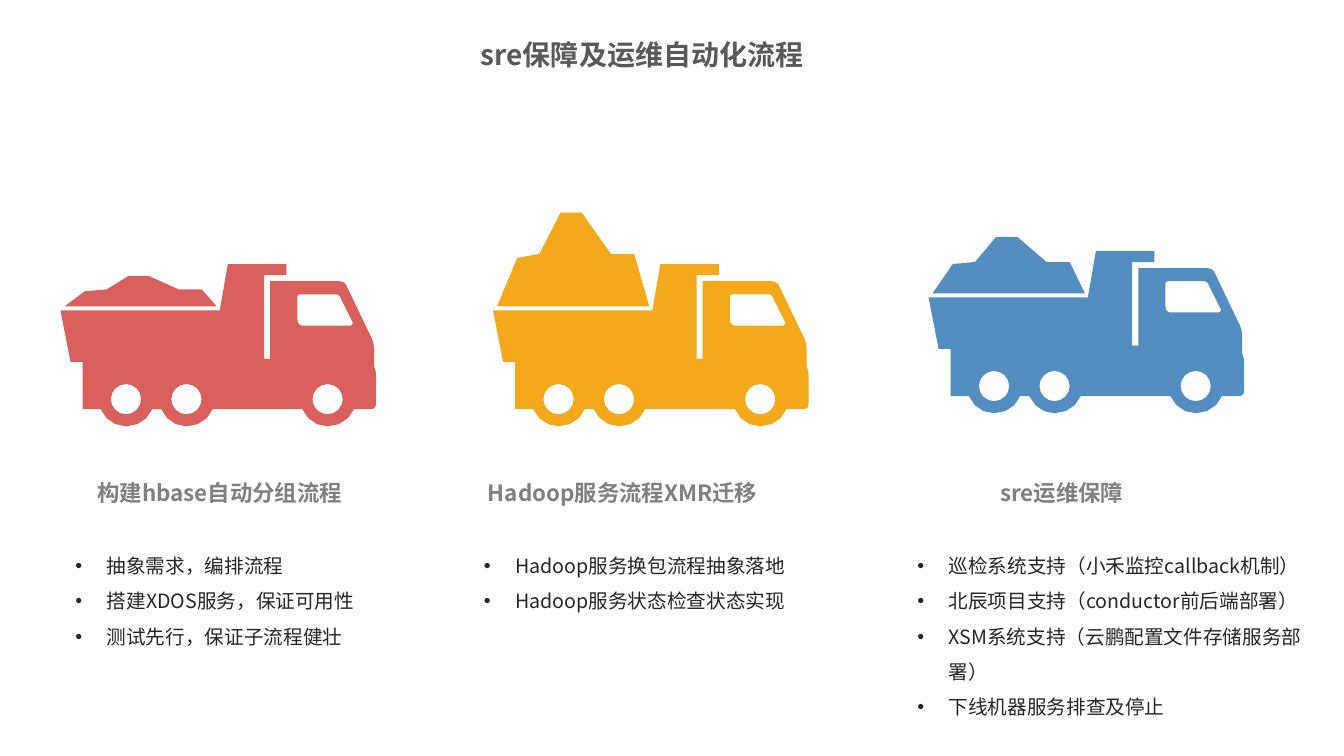
"""Build a slide of three loaded trucks, each with a heading and its tasks."""
import math
from dataclasses import dataclass

import lxml.etree
import pptx
import pptx.dml.color
import pptx.enum.text
import pptx.oxml.ns
import pptx.util

Inches = pptx.util.Inches

TITLE = "sre保障及运维自动化流程"
TITLE_BOX = (4.73, 0.37, 3.28, 0.67)

STAGES = [
    {
        "heading": "构建hbase自动分组流程",
        "heading_span": (0.85, 2.66),
        "tasks": ["抽象需求，编排流程", "搭建XDOS服务，保证可用性", "测试先行，保证子流程健壮"],
        "tasks_box": (0.65, 3.02, 1.12),
        "truck": (0.60, 2.62),
        "load": (0.15, 0.17, 0.30),
        "color": "D9605D",
    },
    {
        "heading": "Hadoop服务流程XMR迁移",
        "heading_span": (4.70, 2.95),
        "tasks": ["Hadoop服务换包流程抽象落地", "Hadoop服务状态检查状态实现"],
        "tasks_box": (4.70, 3.28, 0.77),
        "truck": (4.89, 2.62),
        "load": (0.48, 0.52, 0.93),
        "color": "F4A81C",
    },
    {
        "heading": "sre运维保障",
        "heading_span": (9.80, 1.46),
        "tasks": [
            "巡检系统支持（小禾监控callback机制）",
            "北辰项目支持（conductor前后端部署）",
            "XSM系统支持（云鹏配置文件存储服务部署）",
            "下线机器服务排查及停止",
        ],
        "tasks_box": (9.00, 4.33, 1.47),
        "truck": (9.21, 2.49),
        "load": (0.29, 0.31, 0.56),
        "color": "548DBF",
    },
]

HEADING_TOP, HEADING_HEIGHT, TASKS_TOP = 4.70, 0.37, 5.33
BULLET_INDENT = 0.31
WHEELS, HUB_Y, HUB_RADIUS = (0.65, 1.25, 2.65), 1.34, 0.15
CHASSIS_Y, TYRE_BOTTOM = 1.44, 1.61
LOAD_BASE = 0.42
LOAD_XS = (0.04, 0.24, 0.46, 0.67, 0.88, 1.17, 1.40, 1.55)
CURVE_STEPS, HUB_STEPS = 3, 16

# Two numbers are a straight line, six are a cubic curve.
CAB_AND_BED = [
    (3.11, 1.01), (3.11, 0.84), (3.11, 0.78, 3.09, 0.73, 3.06, 0.68),
    (2.83, 0.20), (2.81, 0.18, 2.79, 0.17, 2.76, 0.17),
    (2.08, 0.17), (2.08, 0.94), (2.02, 0.94), (2.02, 0.11), (2.24, 0.11),
    (2.24, 0), (1.66, 0), (1.58, 0.46), (0, 0.46), (0.10, 0.97), (0.22, 0.97),
    (0.22, CHASSIS_Y),
]
BUMPER = [
    (3.08, CHASSIS_Y), (3.11, 1.44, 3.13, 1.42, 3.13, 1.39),
    (3.13, 1.10), (3.13, 1.06, 3.12, 1.05, 3.11, 1.01),
]
WINDOW = [
    (2.88, 0.61), (2.39, 0.61), (2.36, 0.60, 2.35, 0.58, 2.35, 0.55),
    (2.35, 0.32), (2.35, 0.31, 2.36, 0.30, 2.38, 0.30),
    (2.73, 0.30), (2.75, 0.30, 2.76, 0.31, 2.77, 0.32),
    (2.90, 0.58), (2.90, 0.59, 2.90, 0.60, 2.88, 0.61),
]


@dataclass(frozen=True)
class Theme:
    """Colours, font and type sizes."""
    font: str = "Noto Sans CJK SC"
    title_color: str = "595959"
    heading_color: str = "808080"
    task_color: str = "262626"
    title_size: int = 20
    heading_size: int = 16
    task_size: int = 14


THEME = Theme()


def flatten(segments):
    """Turn lines and cubic curves into a list of points."""
    points = []
    for segment in segments:
        if len(segment) == 2:
            points.append(segment)
            continue
        corners = [points[-1], segment[:2], segment[2:4], segment[4:]]
        for step in range(1, CURVE_STEPS + 1):
            t = step / CURVE_STEPS
            weights = ((1 - t) ** 3, 3 * t * (1 - t) ** 2, 3 * t * t * (1 - t), t ** 3)
            points.append(tuple(
                sum(w * corner[axis] for w, corner in zip(weights, corners))
                for axis in (0, 1)))
    return points


def tyre(x):
    """Return the lower tyre edge around a wheel centre."""
    return [
        (x - 0.25, CHASSIS_Y),
        (x - 0.21, 1.54, x - 0.11, TYRE_BOTTOM, x, TYRE_BOTTOM),
        (x + 0.12, TYRE_BOTTOM, x + 0.22, 1.54, x + 0.26, CHASSIS_Y),
    ]


def hub(x):
    """Return the round opening at a wheel centre."""
    angles = [math.tau * step / HUB_STEPS for step in range(HUB_STEPS)]
    return [(x + HUB_RADIUS * math.cos(a), HUB_Y + HUB_RADIUS * math.sin(a)) for a in angles]


def add_outline(slide, origin, contours, color):
    """Draw closed contours, relative to an origin, as one filled shape."""
    placed = [[(Inches(origin[0] + x), Inches(origin[1] + y)) for x, y in contour]
              for contour in contours]
    builder = slide.shapes.build_freeform(*placed[0][0])
    for index, contour in enumerate(placed):
        if index:
            builder.move_to(*contour[0])
        builder.add_line_segments(contour[1:], close=True)
    outline = builder.convert_to_shape()
    outline.shadow.inherit = False
    outline.fill.solid()
    outline.fill.fore_color.rgb = pptx.dml.color.RGBColor.from_string(color)
    outline.line.fill.background()


def add_truck(slide, stage):
    """Draw the load and the truck of one stage."""
    shoulder, ledge, peak = stage["load"]
    heights = (0, shoulder, ledge, peak, peak, ledge, ledge, 0)
    load = [(x, LOAD_BASE - height) for x, height in zip(LOAD_XS, heights)]
    tyres = [segment for x in WHEELS for segment in tyre(x)]
    body = flatten(CAB_AND_BED + tyres + BUMPER)
    add_outline(slide, stage["truck"], [load], stage["color"])
    add_outline(slide, stage["truck"], [body, *map(hub, WHEELS), flatten(WINDOW)], stage["color"])


def style_text(paragraph, size, color, bold=False):
    """Format every run of a paragraph."""
    for run in paragraph.runs:
        run.font.size = pptx.util.Pt(size)
        run.font.bold = bold
        run.font.color.rgb = pptx.dml.color.RGBColor.from_string(color)
        run.font.name = THEME.font
        east_asian = lxml.etree.SubElement(run.font._element, pptx.oxml.ns.qn("a:ea"))
        east_asian.set("typeface", THEME.font)


def add_bullet(paragraph):
    """Give a paragraph a hanging bullet and wide lines."""
    paragraph.line_spacing = 1.5
    properties = paragraph._p.get_or_add_pPr()
    properties.set("marL", str(Inches(BULLET_INDENT)))
    properties.set("indent", str(-Inches(BULLET_INDENT)))
    for tag, key, value in (("a:buFont", "typeface", "Arial"), ("a:buChar", "char", "•")):
        lxml.etree.SubElement(properties, pptx.oxml.ns.qn(tag)).set(key, value)


def add_text(slide, box, text):
    """Add a wrapping text box that grows with its text."""
    frame = slide.shapes.add_textbox(*map(Inches, box)).text_frame
    frame.text = text
    frame.word_wrap = True
    frame.auto_size = pptx.enum.text.MSO_AUTO_SIZE.SHAPE_TO_FIT_TEXT
    return frame.paragraphs


def add_stage(slide, stage):
    """Add the truck, heading and tasks of one stage."""
    add_truck(slide, stage)
    left, width, height = stage["tasks_box"]
    for task in add_text(slide, (left, TASKS_TOP, width, height), "\n".join(stage["tasks"])):
        add_bullet(task)
        style_text(task, THEME.task_size, THEME.task_color)
    left, width = stage["heading_span"]
    heading, = add_text(slide, (left, HEADING_TOP, width, HEADING_HEIGHT), stage["heading"])
    heading.alignment = pptx.enum.text.PP_ALIGN.CENTER
    style_text(heading, THEME.heading_size, THEME.heading_color, bold=True)


deck = pptx.Presentation()
deck.slide_width, deck.slide_height = Inches(13.33), Inches(7.5)
slide = deck.slides.add_slide(deck.slide_layouts[5])
title = slide.shapes.title
title.left, title.top, title.width, title.height = map(Inches, TITLE_BOX)
frame = title.text_frame
frame.text = TITLE
frame.margin_left = frame.margin_top = frame.margin_right = frame.margin_bottom = 0
frame.vertical_anchor = pptx.enum.text.MSO_ANCHOR.TOP
frame.paragraphs[0].alignment = pptx.enum.text.PP_ALIGN.CENTER
style_text(frame.paragraphs[0], THEME.title_size, THEME.title_color, bold=True)
for stage in STAGES:
    add_stage(slide, stage)
deck.save("out.pptx")
